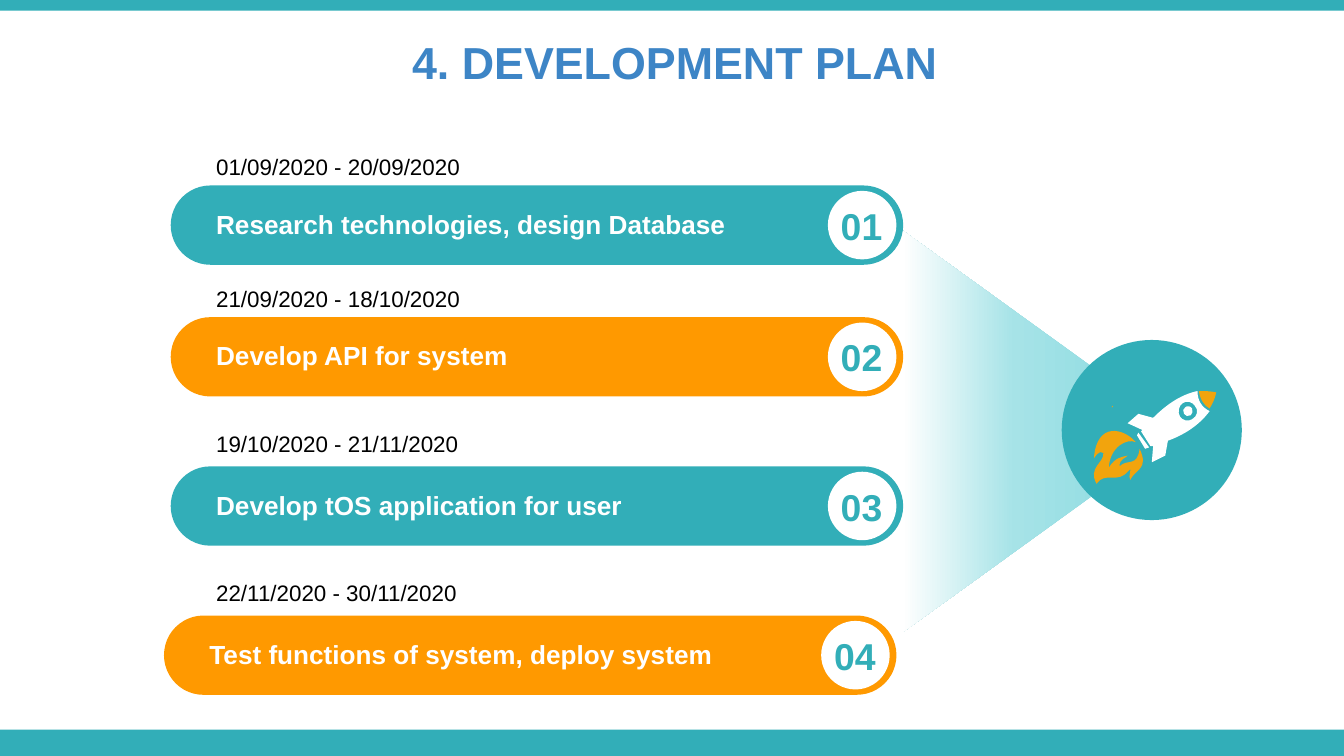
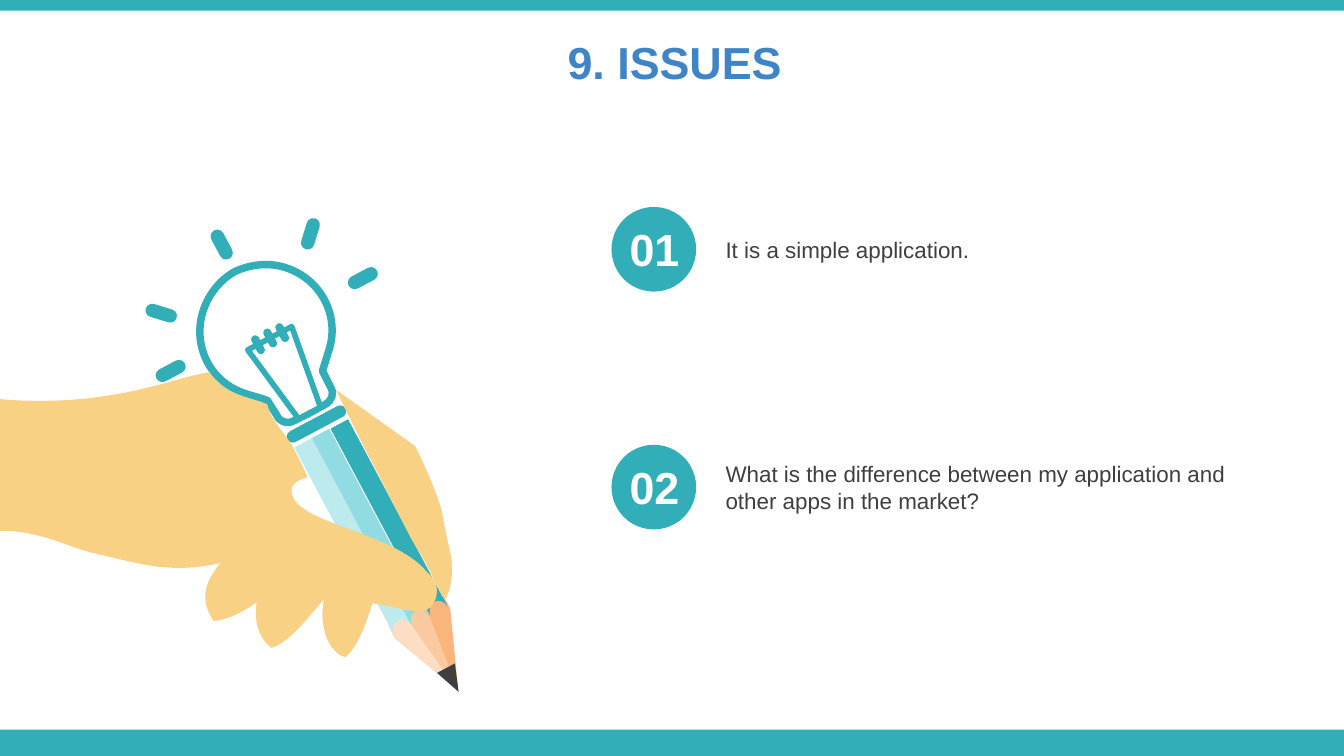
from dataclasses import dataclass

from lxml import etree
from pptx import Presentation
from pptx.dml.color import RGBColor
from pptx.enum.shapes import MSO_SHAPE
from pptx.enum.text import MSO_ANCHOR, MSO_AUTO_SIZE, PP_ALIGN
from pptx.oxml.ns import qn
from pptx.util import Emu, Pt

PX = 9144  # EMU in one px, 100 px to the inch
WIDTH = 1000
TITLE_ONLY = 5

RECTANGLE = MSO_SHAPE.RECTANGLE
PILL = MSO_SHAPE.ROUNDED_RECTANGLE
CIRCLE = MSO_SHAPE.OVAL
TRAPEZOID = MSO_SHAPE.TRAPEZOID
TRIANGLE = MSO_SHAPE.ISOSCELES_TRIANGLE
LEFT, CENTER = PP_ALIGN.LEFT, PP_ALIGN.CENTER
TOP, MIDDLE = MSO_ANCHOR.TOP, MSO_ANCHOR.MIDDLE


@dataclass(frozen=True)
class Theme:
    font: str = "Arial"
    teal: str = "32AEB8"
    teal_mid: str = "90DCE2"
    teal_soft: str = "A6E3E7"
    teal_pale: str = "BCEAED"
    orange: str = "FF9900"
    flame: str = "F2A40D"
    blue: str = "3D85C6"
    white: str = "FFFFFF"
    black: str = "000000"
    dark: str = "3F3F3F"
    skin: str = "F8D185"
    wood: str = "F9B57C"
    wood_mid: str = "FBC9A0"
    wood_pale: str = "FDDEC5"
    title_size: int = 24
    issue_number_size: int = 24
    step_number_size: int = 20
    label_size: int = 14
    body_size: int = 12


THEME = Theme()

# left, top of the bar; top of the dates
STEPS = [
    (127, 138, 104, "01/09/2020 - 20/09/2020", "Research technologies, design Database"),
    (127, 236, 202, "21/09/2020 - 18/10/2020", "Develop API for system"),
    (127, 347, 310, "19/10/2020 - 21/11/2020", "Develop tOS application for user"),
    (122, 458, 421, "22/11/2020 - 30/11/2020", "Test functions of system, deploy system"),
]
ISSUES = [
    (154, "It is a simple application."),
    (331, "What is the difference between my application and other apps in the market?"),
]

# Outlines: M starts a contour, L draws a line, C a cubic curve; each contour closes.
ROCKET_BODY = (
    "M847,322 L855,333 C854,333,853,334,852,334 L846,324 "
    "M887,304 C888,306,887,308,886,309 C884,310,882,310,881,308 "
    "C880,306,880,304,882,303 C883,302,886,302,887,304 "
    "M889,302 C887,299,883,298,880,300 C877,302,876,307,878,310 "
    "C880,313,884,314,887,312 C891,310,892,305,889,302 "
    "M891,291 C891,298,894,303,900,306 C892,317,880,324,869,328 L867,339 L857,344 "
    "L858,332 L856,332 L849,321 C849,320,849,320,850,320 L839,315 L847,308 L858,311 "
    "C866,303,877,294,891,291")
ROCKET_NOSE = "M905,292 C904,297,902,301,900,304 C896,302,893,297,892,291 C896,291,900,291,905,292"
ROCKET_FLAME = (
    "M845,329 C839,326,826,332,825,348 C830,340,835,340,839,339 C838,341,833,341,833,347 "
    "C839,341,846,348,848,334 C855,349,845,349,841,357 C839,355,843,347,840,350 "
    "C831,361,823,350,816,360 C809,348,822,344,821,337 C820,336,818,335,814,341 "
    "C816,313,837,319,845,329 M828,302 L828,303 L827,303")
PENCIL_TIP = [
    ("M289,465 L330,443 L335,453 L341,514 L294,475", THEME.wood),
    ("M302,457 L316,450 L319,457 L341,514 L307,467", THEME.wood_mid),
    ("M289,465 L302,458 C304,460,305,462,306,465 L340,513 L294,475", THEME.wood_pale),
]
PENCIL_STRIPE = "M219,333 L232,326 L306,465 C303,461,299,460,296,462 C293,463,292,468,293,472"
PENCIL_STRIPES = [((0, 0), THEME.teal_pale), ((13, -7), THEME.teal_mid), ((27, -14), THEME.teal)]
BULB = (
    "M175,202 C186,197,199,195,212,199 C238,207,253,234,245,260 L240,276 L246,288 "
    "C249,293,247,298,242,301 L231,307 L219,313 C214,316,208,314,206,309 L199,298 "
    "C194,296,189,295,183,293 C157,285,143,258,151,232 C155,219,164,208,175,202")
HAND = (
    "M250,290 L309,332 C317,348,325,367,329,381 C331,395,334,405,336,416 "
    "C337,426,336,439,331,446 C326,439,322,426,306,401 C293,375,264,320,250,290 "
    "M156,277 C167,295,190,296,199,301 C200,310,213,324,217,331 C222,340,225,347,229,355 "
    "C222,357,216,360,217,366 C219,390,293,395,318,426 C331,436,324,454,314,455 "
    "C300,455,295,451,277,449 C271,469,265,482,257,489 C250,488,236,474,241,446 "
    "C231,457,216,478,202,482 C191,474,189,459,191,448 C183,454,171,461,159,462 "
    "C146,443,156,429,164,419 C128,427,106,420,76,413 C53,409,31,394,-2,395 "
    "L0,297 C83,304,131,280,156,277")
LIGHT_RAYS = [(226, 162, 17), (115, 221, 287), (160, 170, 332), (265, 195, 62), (122, 264, 242)]
FILAMENT_COILS = [(189, 249), (198, 244), (207, 240)]
PENCIL_TILT = 332


def emu(*lengths):
    return [Emu(round(length * PX)) for length in lengths]


def color(name):
    return RGBColor.from_string(name)


def paint(shape, fill, line=None, line_width=0):
    shape.shadow.inherit = False
    shape.fill.solid()
    shape.fill.fore_color.rgb = color(fill)
    if line:
        shape.line.color.rgb = color(line)
        shape.line.width = Pt(line_width)
    else:
        shape.line.fill.background()


def add_figure(shapes, kind, box, fill, rotation=0, adjustment=None, line=None, line_width=0):
    shape = shapes.add_shape(kind, *emu(*box))
    shape.rotation = rotation
    if adjustment is not None:
        shape.adjustments[0] = adjustment
    paint(shape, fill, line, line_width)
    return shape


def bend_curves(shape, commands):
    """Turn the three straight segments that stand for each C command into one cubic curve."""
    segments = list(shape._element.iter(qn("a:lnTo")))
    for command in commands:
        segment = segments.pop(0)
        if command == "C":
            segment.tag = qn("a:cubicBezTo")
            for control in (segments.pop(0), segments.pop(0)):
                segment.append(control[0])
                control.getparent().remove(control)


def add_outline(shapes, outline, fill, offset=(0, 0), line=None, line_width=0):
    builder = None
    commands = []
    for contour in outline.split("M")[1:]:
        points = []
        for token in ("M" + contour).split():
            numbers = [int(number) for number in token[1:].split(",")]
            points += [emu(x + offset[0], y + offset[1])
                       for x, y in zip(numbers[::2], numbers[1::2])]
            if token[0] != "M":
                commands.append(token[0])
        if builder is None:
            builder = shapes.build_freeform(*points[0])
        else:
            builder.move_to(*points[0])
        builder.add_line_segments(points[1:], close=True)
    shape = builder.convert_to_shape()
    bend_curves(shape, commands)
    paint(shape, fill, line, line_width)


def set_text(shape, text, size, text_color, bold, alignment, anchor, margin):
    """Write one paragraph; margin is the inset above and below it."""
    frame = shape.text_frame
    frame.text = text
    frame.word_wrap = True
    frame.auto_size = MSO_AUTO_SIZE.NONE
    frame.vertical_anchor = anchor
    frame.margin_left, frame.margin_right = emu(10, 10)
    frame.margin_top, frame.margin_bottom = emu(margin, margin)
    paragraph = frame.paragraphs[0]
    paragraph.alignment = alignment
    font = paragraph.runs[0].font
    font.name, font.size, font.bold = THEME.font, Pt(size), bold
    font.color.rgb = color(text_color)


def add_text(slide, box, text, size, text_color, bold=False, alignment=LEFT, anchor=TOP, margin=5):
    shape = slide.shapes.add_textbox(*emu(*box))
    set_text(shape, text, size, text_color, bold, alignment, anchor, margin)


def add_titled_slide(presentation, title):
    slide = presentation.slides.add_slide(presentation.slide_layouts[TITLE_ONLY])
    shape = slide.shapes.title
    shape.left, shape.top, shape.width, shape.height = emu(2, 16, WIDTH, 66)
    set_text(shape, title, THEME.title_size, THEME.blue, True, CENTER, TOP, 10)
    return slide


def add_master_bands(slide):
    """Draw the two bands and hand them to the master, behind its placeholders."""
    master = slide.slide_layout.slide_master
    for number, box in enumerate([(0, 543, WIDTH, 20), (0, 0, WIDTH, 8)]):
        band = add_figure(slide.shapes, RECTANGLE, box, THEME.teal)
        band._element.nvSpPr.cNvPr.id = 100 + number
        master.shapes._spTree.insert(2 + number, band._element)


def set_gradient(shape, stops):
    """Fill from top to bottom of the unrotated shape with (percent, colour) stops."""
    shape.fill.gradient()
    shape.fill.gradient_angle = 270
    stop_list = shape._element.spPr.find(qn("a:gradFill")).find(qn("a:gsLst"))
    for old_stop in list(stop_list):
        stop_list.remove(old_stop)
    for percent, stop_color in stops:
        stop = etree.SubElement(stop_list, qn("a:gs"), pos=str(percent * 1000))
        etree.SubElement(stop, qn("a:srgbClr"), val=stop_color)


def add_rocket(slide):
    beam = add_figure(slide.shapes, TRAPEZOID, (605, 238, 299, 166), THEME.teal_soft, 90, 0.72)
    set_gradient(beam, [(0, THEME.teal_mid), (50, THEME.teal_soft), (100, THEME.white)])
    add_figure(slide.shapes, CIRCLE, (790, 253, 134, 134), THEME.teal)
    rocket = slide.shapes.add_group_shape().shapes
    add_outline(rocket, ROCKET_BODY, THEME.white)
    add_outline(rocket, ROCKET_NOSE, THEME.flame)
    add_outline(rocket, ROCKET_FLAME, THEME.flame)


def add_step(slide, number, left, top, dates_top, dates, label):
    fill = THEME.teal if number % 2 else THEME.orange
    add_figure(slide.shapes, PILL, (left, top, 545, 59), fill, adjustment=0.5)
    add_figure(slide.shapes, CIRCLE, (left + 489, top + 4, 51, 51), THEME.white)
    add_text(slide, (left + 485, top + 8, 58, 44), f"{number:02}",
             THEME.step_number_size, THEME.teal, True, CENTER)
    add_text(slide, (left + 24, top + 12, 457, 34), label, THEME.label_size, THEME.white, True)
    add_text(slide, (151, dates_top, 328, 34), dates, THEME.body_size, THEME.black, margin=10)


def add_pencil_bulb(slide):
    pencil = slide.shapes.add_group_shape().shapes
    for outline, fill in PENCIL_TIP:
        add_outline(pencil, outline, fill)
    for offset, fill in PENCIL_STRIPES:
        add_outline(pencil, PENCIL_STRIPE, fill, offset)
    add_figure(pencil, TRIANGLE, (329, 496, 15, 20), THEME.dark, PENCIL_TILT - 180)
    add_outline(pencil, BULB, THEME.white, line=THEME.teal, line_width=4)
    add_figure(pencil, TRAPEZOID, (197, 248, 37, 63), THEME.white, PENCIL_TILT - 180, 0.25,
               THEME.teal, 3)
    for left, top, rotation in LIGHT_RAYS:
        add_figure(pencil, PILL, (left, top, 10, 24), THEME.teal, rotation, 0.5)
    add_figure(pencil, PILL, (211, 311, 49, 9), THEME.teal, PENCIL_TILT, 0.5)
    for left, top in FILAMENT_COILS:
        add_figure(pencil, PILL, (left, top, 6, 15), THEME.teal, PENCIL_TILT, 0.5)


def add_issue(slide, number, top, text):
    add_figure(slide.shapes, CIRCLE, (455, top, 63, 63), THEME.teal)
    add_text(slide, (452, top + 6, 70, 50), f"{number:02}",
             THEME.issue_number_size, THEME.white, True, CENTER)
    add_text(slide, (530, top - 9, 402, 81), text, THEME.body_size, THEME.dark, anchor=MIDDLE)


def main():
    presentation = Presentation()
    presentation.slide_width = Emu(WIDTH * PX)
    presentation.slide_height = Emu(WIDTH * PX * 9 // 16)

    plan = add_titled_slide(presentation, "4. DEVELOPMENT PLAN")
    add_master_bands(plan)
    add_rocket(plan)
    for number, step in enumerate(STEPS, 1):
        add_step(plan, number, *step)

    issues = add_titled_slide(presentation, "9. ISSUES")
    add_pencil_bulb(issues)
    add_outline(issues.shapes, HAND, THEME.skin)
    for number, issue in enumerate(ISSUES, 1):
        add_issue(issues, number, *issue)

    presentation.save("out.pptx")


if __name__ == "__main__":
    main()
